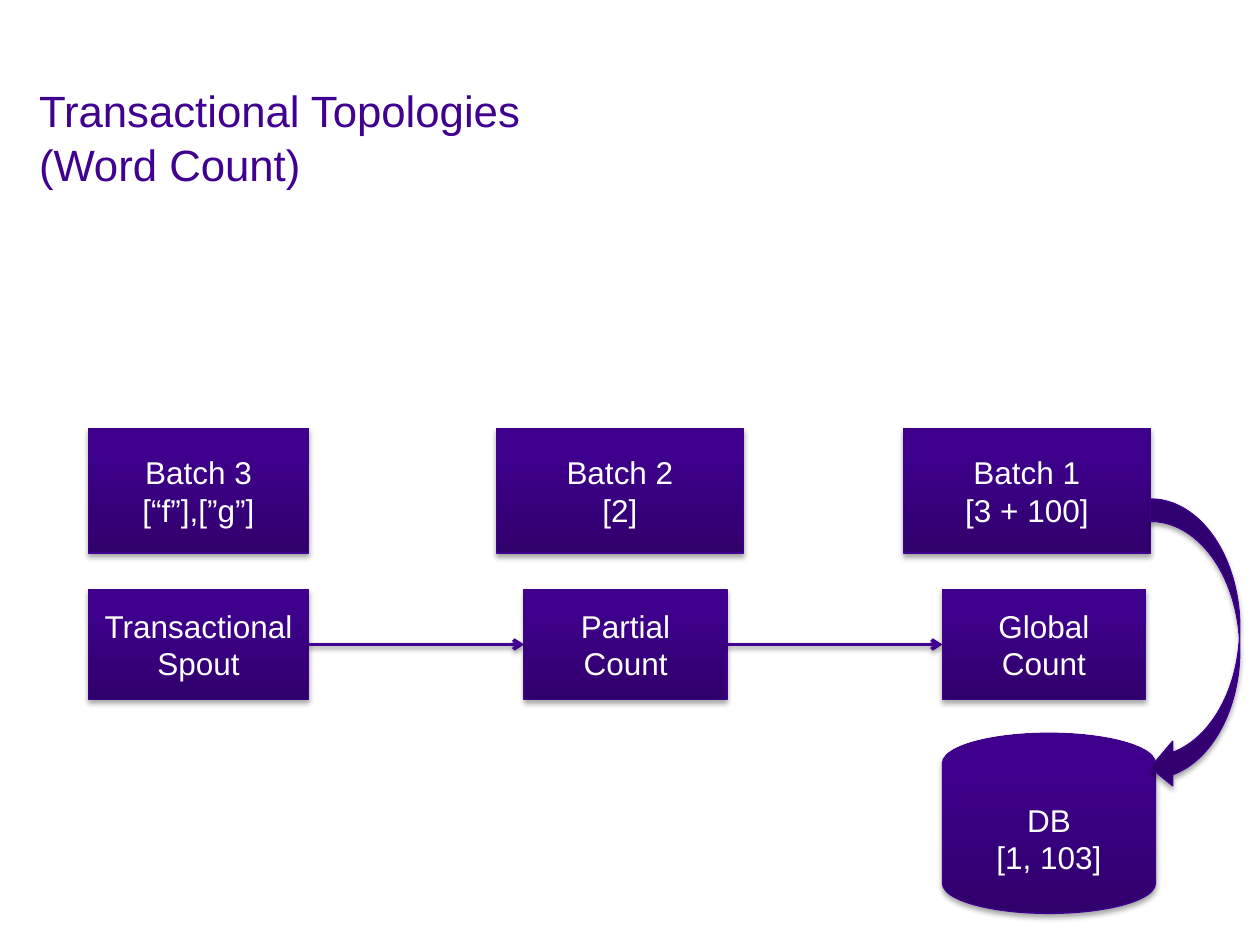
from lxml.etree import SubElement
from pptx import Presentation
from pptx.dml.color import RGBColor
from pptx.enum.shapes import MSO_CONNECTOR, MSO_SHAPE
from pptx.enum.text import MSO_ANCHOR, PP_ALIGN
from pptx.oxml.ns import qn
from pptx.util import Inches, Pt


def write(shape, text, size, color, align, anchor, margins=(0.1, 0.05), spacing=None):
    """Fill a shape with text: newline starts a paragraph, vertical tab a line break."""
    frame = shape.text_frame
    frame.word_wrap = True
    frame.vertical_anchor = anchor
    frame.margin_left = frame.margin_right = Inches(margins[0])
    frame.margin_top = frame.margin_bottom = Inches(margins[1])
    frame.text = text
    for para in frame.paragraphs:
        para.alignment = align
        para.line_spacing = spacing
        for span in para.runs:
            span.font.name = "Arial"
            span.font.size = Pt(size)
            span.font.color.rgb = RGBColor.from_string(color)


def add_shadow(shape, distance, opacity):
    """Drop a soft black shadow straight down; distance in points, opacity in percent."""
    effects = SubElement(shape._element.spPr, qn("a:effectLst"))
    shadow = SubElement(effects, qn("a:outerShdw"), blurRad=str(Pt(3.1)),
                        dist=str(Pt(distance)), dir="5400000", rotWithShape="0")
    black = SubElement(shadow, qn("a:srgbClr"), val="000000")
    SubElement(black, qn("a:alpha"), val=str(opacity * 1000))


deck = Presentation()
deck.slide_width, deck.slide_height = Inches(10), Inches(7.5)
page = deck.slides.add_slide(deck.slide_layouts[6])

title = page.shapes.add_textbox(Inches(0.31), Inches(0.65), Inches(9.32), Inches(1.18))
write(title, "Transactional Topologies\v(Word Count)", size=25, color="400090",
      align=PP_ALIGN.LEFT, anchor=MSO_ANCHOR.TOP, margins=(0, 0), spacing=1.03)

step_top, step_height = 4.68, 0.87
batch_top, batch_height = 3.4, 0.99
rectangle = MSO_SHAPE.RECTANGLE
nodes = [
    (rectangle, 0.7, step_top, 1.75, step_height, "Transactional Spout"),
    (rectangle, 4.16, step_top, 1.61, step_height, "Partial Count"),
    (rectangle, 7.48, step_top, 1.61, step_height, "Global Count"),
    (rectangle, 0.7, batch_top, 1.75, batch_height, "Batch 3\n[“f”],[”g”]"),
    (MSO_SHAPE.FLOWCHART_MAGNETIC_DISK, 7.48, 5.82, 1.69, 1.43, "DB\n[1, 103]"),
    (rectangle, 3.94, batch_top, 1.96, batch_height, "Batch 2\n[2]"),
    (rectangle, 7.17, batch_top, 1.96, batch_height, "Batch 1\n[3 + 100]"),
    (MSO_SHAPE.CURVED_LEFT_ARROW, 9.13, 3.96, 0.71, 2.31, ""),
]
boxes = []
for kind, left, top, width, height, text in nodes:
    box = page.shapes.add_shape(kind, Inches(left), Inches(top), Inches(width), Inches(height))
    box.fill.gradient()
    box.fill.gradient_angle = 90
    for stop, position, color in zip(box.fill.gradient_stops, (0, 0.8), ("30006B", "3E008C")):
        stop.position = position
        stop.color.rgb = RGBColor.from_string(color)
    box.line.color.rgb = RGBColor.from_string("3F008D")
    box.line.width = Pt(0.75)
    add_shadow(box, distance=1.8, opacity=35)
    if text:
        write(box, text, size=18, color="FFFFFF", align=PP_ALIGN.CENTER,
              anchor=MSO_ANCHOR.MIDDLE)
    boxes.append(box)

steps = boxes[:3]
for source, target in zip(steps, steps[1:]):
    arrow = page.shapes.add_connector(MSO_CONNECTOR.STRAIGHT, 0, 0, 0, 0)
    arrow.begin_connect(source, 3)
    arrow.end_connect(target, 1)
    arrow.line.color.rgb = RGBColor.from_string("400090")
    arrow.line.width = Pt(2)
    SubElement(arrow.line._get_or_add_ln(), qn("a:tailEnd"), type="arrow")
    add_shadow(arrow, distance=1.6, opacity=38)

deck.save("out.pptx")
